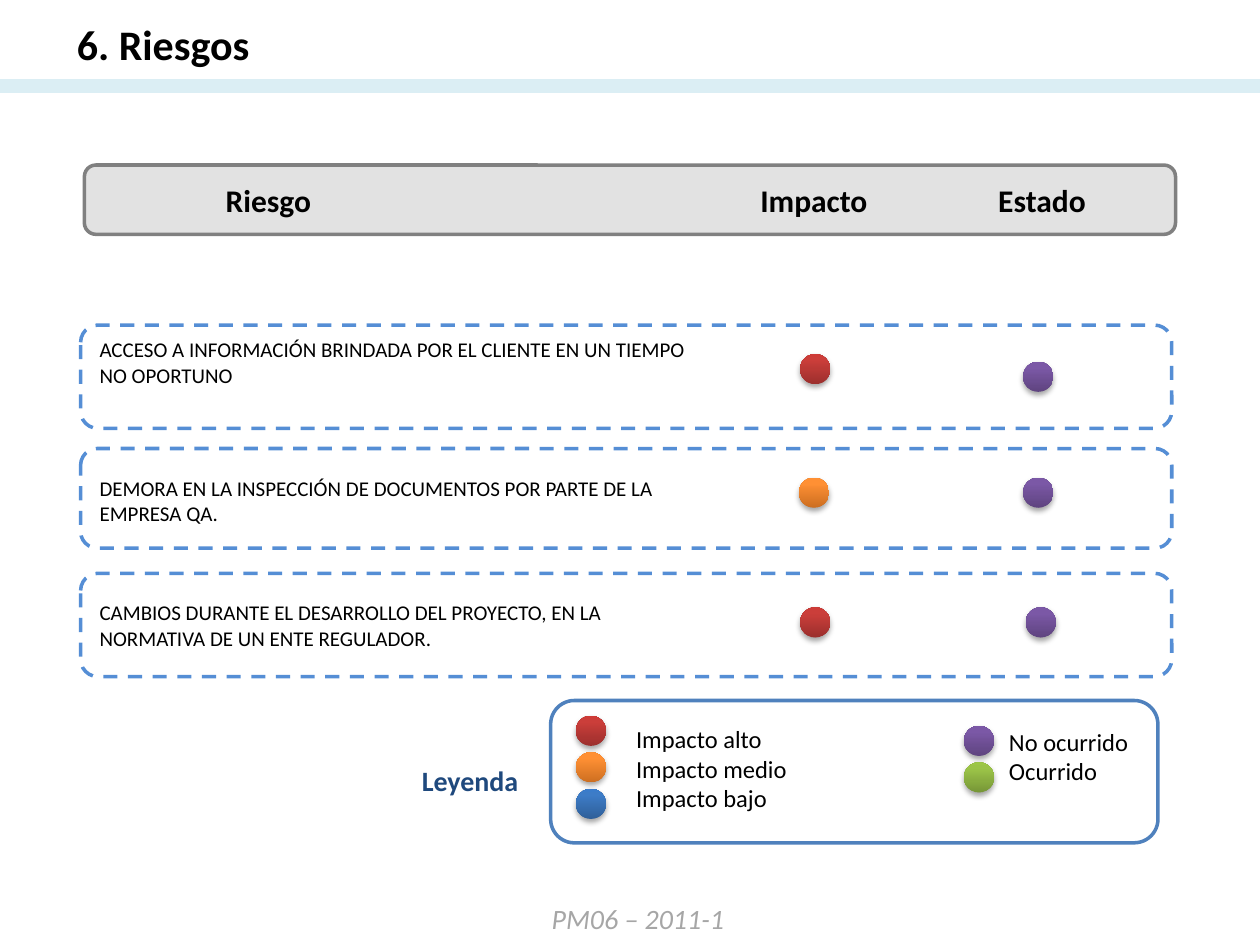
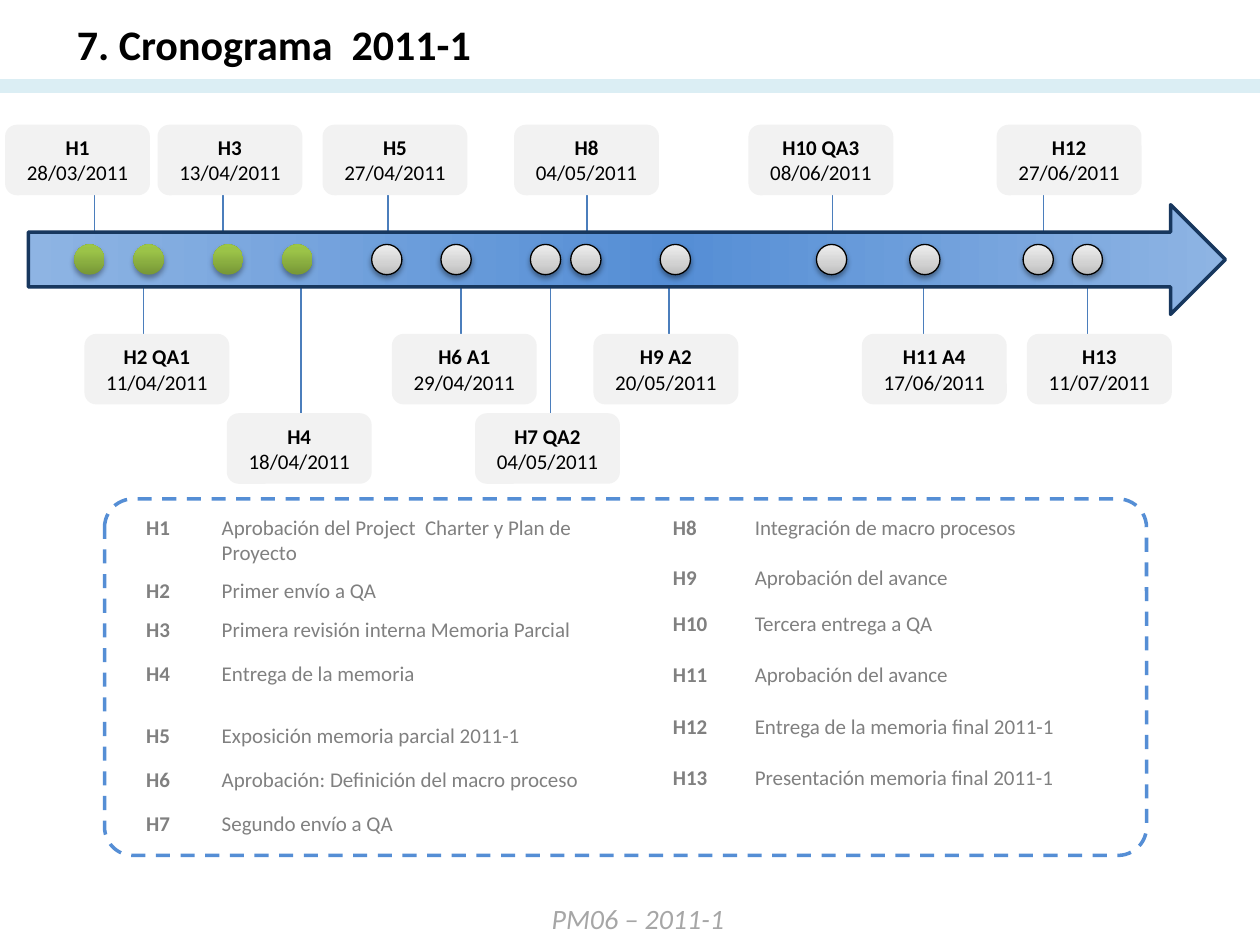
from dataclasses import dataclass
from lxml import etree
from pptx import Presentation
from pptx import util as u
from pptx.dml.color import RGBColor
from pptx.enum import dml, shapes, text
from pptx.oxml.ns import nsdecls, qn
from pptx.oxml import parse_xml


@dataclass(frozen=True)
class Theme:
    font: str = "Calibri"
    title: int = 24
    heading: int = 18
    label: int = 16
    legend: int = 14
    body: int = 12
    black: str = "000000"
    white: str = "FFFFFF"
    band: str = "DBEEF4"
    footer: str = "A6A6A6"
    header: str = "BFBFBF"
    grey: str = "808080"
    card: str = "F2F2F2"
    dash: str = "558ED5"
    frame: str = "4F81BD"
    navy: str = "1F497D"
    link: str = "4B7EBC"
    arrow_edge: str = "17375E"


T = Theme()
ARROW = [(0, "8EB4E3"), (46, "558ED5"), (100, "8EB4E3")]
DOTS = {
    "alto": [(0, "9C2F2D"), (80, "CB3E3A"), (100, "CE3B37")],
    "medio": [(0, "CC6E20"), (80, "FF9034"), (100, "FF9136")],
    "bajo": [(0, "2F5F99"), (80, "3D7CC7"), (100, "3A7CCB")],
    "no ocurrido": [(0, "5F4480"), (80, "7B58A6"), (100, "7C57A8")],
    "ocurrido": [(0, "779737"), (80, "9BC348"), (100, "9DC746")],
    "pendiente": [(0, "BDBDBD"), (35, "D1D1D1"), (100, "EEEEEE")],
}
FOOTER = "PM06 – 2011-1"
HEADINGS = [("Riesgo", 1.38, 1.5), ("Impacto", 5.71, 1.5), ("Estado", 7.68, 1.18)]
RISKS = [
    dict(text="ACCESO A INFORMACIÓN BRINDADA POR EL CLIENTE EN UN TIEMPO NO OPORTUNO",
         table=2.53, box=(2.58, 0.82), impact=("alto", 6.35, 2.81), state=(8.12, 2.87)),
    dict(text="DEMORA EN LA INSPECCIÓN DE DOCUMENTOS POR PARTE DE LA EMPRESA QA.",
         table=3.63, box=(3.56, 0.79), impact=("medio", 6.34, 3.79), state=(8.12, 3.79)),
    dict(text="CAMBIOS DURANTE EL DESARROLLO DEL PROYECTO, EN LA NORMATIVA DE UN ENTE REGULADOR.",
         table=4.62, box=(4.55, 0.82), impact=("alto", 6.35, 4.82), state=(8.14, 4.82)),
]
LEGEND = [
    (4.95, 5.7, 0.81, ["Impacto alto", "Impacto medio", "Impacto bajo"],
     4.57, 5.68, ["alto", "medio", "bajo"]),
    (7.91, 5.72, 0.57, ["No ocurrido", "Ocurrido"],
     7.65, 5.76, ["no ocurrido", "ocurrido"]),
]
LEVELS = {"up": (0.99, 1.55, 1.86), "down": (2.65, 2.25, 2.65), "low": (3.28, 2.25, 3.36)}
MILESTONES = [
    ("H1", "28/03/2011", "up", 0.04, 0.75, 0.59),
    ("H2 QA1", "11/04/2011", "down", 0.67, 1.14, 1.06),
    ("H3", "13/04/2011", "up", 1.25, 1.77, 1.69),
    ("H4", "18/04/2011", "low", 1.8, 2.39, 2.24),
    ("H5", "27/04/2011", "up", 2.56, 3.08, 2.95),
    ("H6 A1", "29/04/2011", "down", 3.11, 3.66, 3.5),
    ("H7 QA2", "04/05/2011", "low", 3.77, 4.37, 4.21),
    ("H8", "04/05/2011", "up", 4.08, 4.66, 4.53),
    ("H9 A2", "20/05/2011", "down", 4.71, 5.31, 5.24),
    ("H10 QA3", "08/06/2011", "up", 5.94, 6.61, 6.48),
    ("H11 A4", "17/06/2011", "down", 6.84, 7.33, 7.22),
    ("H12", "27/06/2011", "up", 7.91, 8.28, 8.12),
    ("H13", "11/07/2011", "down", 8.15, 8.63, 8.51),
]
DONE = 4
GOALS = [
    "Aprobación del Project  Charter y Plan de Proyecto", "Primer envío a QA",
    "Primera revisión interna Memoria Parcial", "Entrega de la memoria",
    "Exposición memoria parcial 2011-1", "Aprobación: Definición del macro proceso",
    "Segundo envío a QA", "Integración de macro procesos", "Aprobación del avance",
    "Tercera entrega a QA", "Aprobación del avance",
    "Entrega de la memoria final 2011-1", "Presentación memoria final 2011-1",
]
GOAL_TABLES = [
    (1.06, [0.6, 3.19], [0.49, 0.31, 0.35, 0.49, 0.35, 0.35, 0.35]),
    (5.24, [0.65, 3.44], [0.4, 0.36, 0.41, 0.41, 0.41, 0.41]),
]


def rgb(c):
    return RGBColor.from_string(c)


def box(at):
    return [u.Inches(v) for v in at]


def style(r, size=T.body, color=T.black, bold=False, italic=False):
    f = r.font
    f.name, f.size, f.bold, f.italic = T.font, u.Pt(size), bold, italic
    f.color.rgb = rgb(color)


def write(tf, lines, align=text.PP_ALIGN.LEFT, **fmt):
    for i, line in enumerate(lines):
        p = tf.paragraphs[0] if i == 0 else tf.add_paragraph()
        p.alignment = align
        r = p.add_run()
        r.text = line
        style(r, **fmt)


def label(s, at, lines, wrap=True, **fmt):
    tf = s.shapes.add_textbox(*box(at)).text_frame
    tf.word_wrap = wrap
    tf.auto_size = text.MSO_AUTO_SIZE.SHAPE_TO_FIT_TEXT
    write(tf, lines, **fmt)


def gradient(sp, stops, angle):
    gs = "".join(f'<a:gs pos="{pos * 1000}"><a:srgbClr val="{c}"/></a:gs>' for pos, c in stops)
    sp.fill.background()
    old = sp._element.spPr.find(qn("a:noFill"))
    old.getparent().replace(old, parse_xml(
        f'<a:gradFill {nsdecls("a")} rotWithShape="1"><a:gsLst>{gs}</a:gsLst>'
        f'<a:lin ang="{angle * 60000}" scaled="0"/></a:gradFill>'))


def shape(s, kind, at, fill=None, line=None, width=2, dash=False):
    sp = s.shapes.add_shape(kind, *box(at))
    sp.shadow.inherit = False
    if fill:
        sp.fill.solid()
        sp.fill.fore_color.rgb = rgb(fill)
    else:
        sp.fill.background()
    if line:
        sp.line.color.rgb = rgb(line)
        sp.line.width = u.Pt(width)
        if dash:
            sp.line.dash_style = dml.MSO_LINE.DASH
    else:
        sp.line.fill.background()
    return sp


def rounded(s, at, **fmt):
    return shape(s, shapes.MSO_SHAPE.ROUNDED_RECTANGLE, at, **fmt)


def dot(s, x, y, kind):
    pending = kind == "pendiente"
    sp = shape(s, shapes.MSO_SHAPE.OVAL, (x, y, 0.24, 0.24),
               line=T.black if pending else None, width=0.75)
    gradient(sp, DOTS[kind], 270)
    alpha, dist = (38, 1.6) if pending else (35, 1.8)
    sp._element.spPr.find(qn("a:effectLst")).append(parse_xml(
        f'<a:outerShdw {nsdecls("a")} blurRad="{u.Pt(3.1)}" dist="{u.Pt(dist)}" dir="5400000" '
        f'rotWithShape="0"><a:srgbClr val="{T.black}"><a:alpha val="{alpha * 1000}"/>'
        '</a:srgbClr></a:outerShdw>'))


def connect(s, x1, y1, x2, y2, color, width):
    c = s.shapes.add_connector(shapes.MSO_CONNECTOR.STRAIGHT, *box((x1, y1, x2, y2)))
    c.line.color.rgb = rgb(color)
    c.line.width = u.Pt(width)
    etree.SubElement(c._element.spPr, qn("a:effectLst"))


def table(s, x, y, cols, heights, rows, inset=None, color=T.black, bold_first=False):
    t = s.shapes.add_table(len(rows), len(cols), *box((x, y, sum(cols), sum(heights)))).table
    t.first_row = t.horz_banding = False
    for col, w in zip(t.columns, cols):
        col.width = u.Inches(w)
    for i, (row, h) in enumerate(zip(rows, heights)):
        t.rows[i].height = u.Inches(h)
        for j, value in enumerate(row):
            cell = t.cell(i, j)
            cell.fill.background()
            if inset:
                cell.margin_left = cell.margin_right = u.Inches(inset)
                cell.margin_top = cell.margin_bottom = u.Inches(inset)
            if value:
                write(cell.text_frame, [value], color=color, bold=bold_first and j == 0)
            for k, side in enumerate("LRTB"):
                width = 3 if side == "B" and i == 0 else 1
                cell._tc.tcPr.insert(k, parse_xml(
                    f'<a:ln{side} {nsdecls("a")} w="{u.Pt(width)}"><a:solidFill>'
                    f'<a:srgbClr val="{T.white}"/></a:solidFill></a:ln{side}>'))


def new_slide(prs, title):
    s = prs.slides.add_slide(prs.slide_layouts[5])
    sp = s.shapes.title
    sp.left, sp.top, sp.width, sp.height = box((0.51, 0.1, 5.04, 0.5))
    tf = sp.text_frame
    tf.word_wrap = True
    tf.auto_size = text.MSO_AUTO_SIZE.NONE
    tf.vertical_anchor = text.MSO_ANCHOR.TOP
    write(tf, [title], size=T.title, bold=True)
    connect(s, 0, 0.68, 10, 0.68, T.band, 8)
    label(s, (4.28, 7.11, 1.59, 0.37), [FOOTER], wrap=False,
          size=T.label, color=T.footer, italic=True)
    return s


def risks(prs):
    s = new_slide(prs, "6. Riesgos")
    sp = rounded(s, (0.67, 1.31, 8.66, 0.55), fill=T.header, line=T.grey)
    clr = sp._element.spPr.find(qn("a:solidFill")).find(qn("a:srgbClr"))
    etree.SubElement(clr, qn("a:alpha")).set("val", "45000")
    for name, x, w in HEADINGS:
        label(s, (x, 1.39, w, 0.4), [name], size=T.heading, bold=True,
              align=text.PP_ALIGN.CENTER)
    for risk in RISKS:
        table(s, 0.64, risk["table"], [4.98, 1.55, 1.98], [0.7],
              [[risk["text"], "", ""]], inset=0.15)
        top, height = risk["box"]
        rounded(s, (0.64, top, 8.66, height), line=T.dash, dash=True)
        kind, x, y = risk["impact"]
        dot(s, x, y, kind)
        dot(s, *risk["state"], "no ocurrido")
    rounded(s, (4.37, 5.56, 4.82, 1.13), line=T.frame)
    for x, y, h, lines, dot_x, dot_y, kinds in LEGEND:
        label(s, (x, y, 2.76, h), lines, size=T.legend)
        for i, kind in enumerate(kinds):
            dot(s, dot_x, dot_y + i * 0.29, kind)
    label(s, (3.25, 6.01, 2.76, 0.37), ["Leyenda"], size=T.label, color=T.navy, bold=True)


def schedule(prs):
    s = new_slide(prs, "7. Cronograma  2011-1")
    for _, _, level, _, x, _ in MILESTONES:
        _, start, end = LEVELS[level]
        connect(s, x, start, x, end, T.link, 0.75)
    arrow = shape(s, shapes.MSO_SHAPE.UP_ARROW, (4.54, -2.69, 0.87, 9.5), line=T.arrow_edge)
    arrow.rotation = 90
    gradient(arrow, ARROW, 90)
    for i, (name, date, level, x, _, dot_x) in enumerate(MILESTONES):
        tf = rounded(s, (x, LEVELS[level][0], 1.15, 0.56), fill=T.card).text_frame
        tf.word_wrap = True
        tf.vertical_anchor = text.MSO_ANCHOR.MIDDLE
        write(tf, [name], align=text.PP_ALIGN.CENTER, bold=True)
        p = tf.paragraphs[0]
        p.add_line_break()
        r = p.add_run()
        r.text = date
        style(r)
        dot(s, dot_x, 1.94, "ocurrido" if i < DONE else "pendiente")
    goals = [(f"H{i}", goal) for i, goal in enumerate(GOALS, 1)]
    for x, cols, heights in GOAL_TABLES:
        rows, goals = goals[:len(heights)], goals[len(heights):]
        table(s, x, 4.04, cols, heights, rows, color=T.grey, bold_first=True)
    frame = rounded(s, (0.83, 3.96, 8.27, 2.83), line=T.dash, dash=True)
    frame.adjustments[0] = 0.08


prs = Presentation()
prs.slide_width, prs.slide_height = u.Inches(10), u.Inches(7.5)
risks(prs)
schedule(prs)
prs.save("out.pptx")
